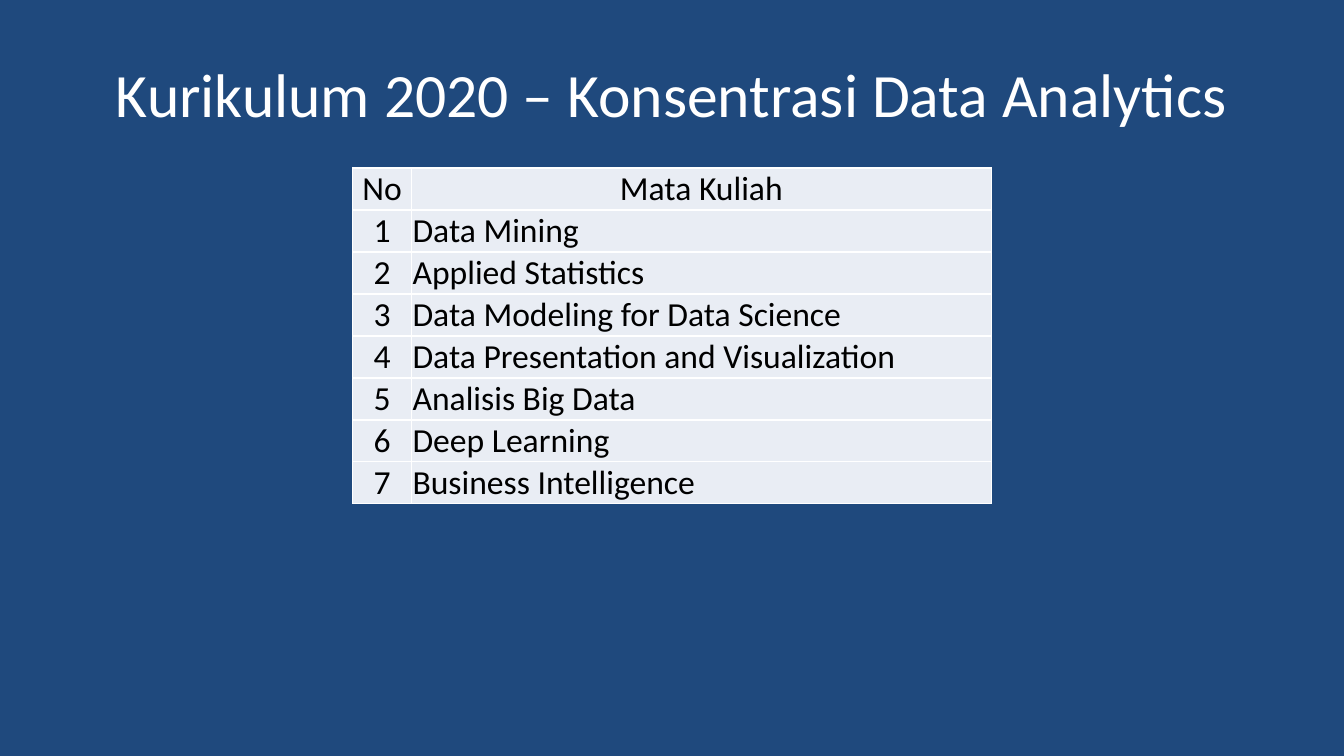
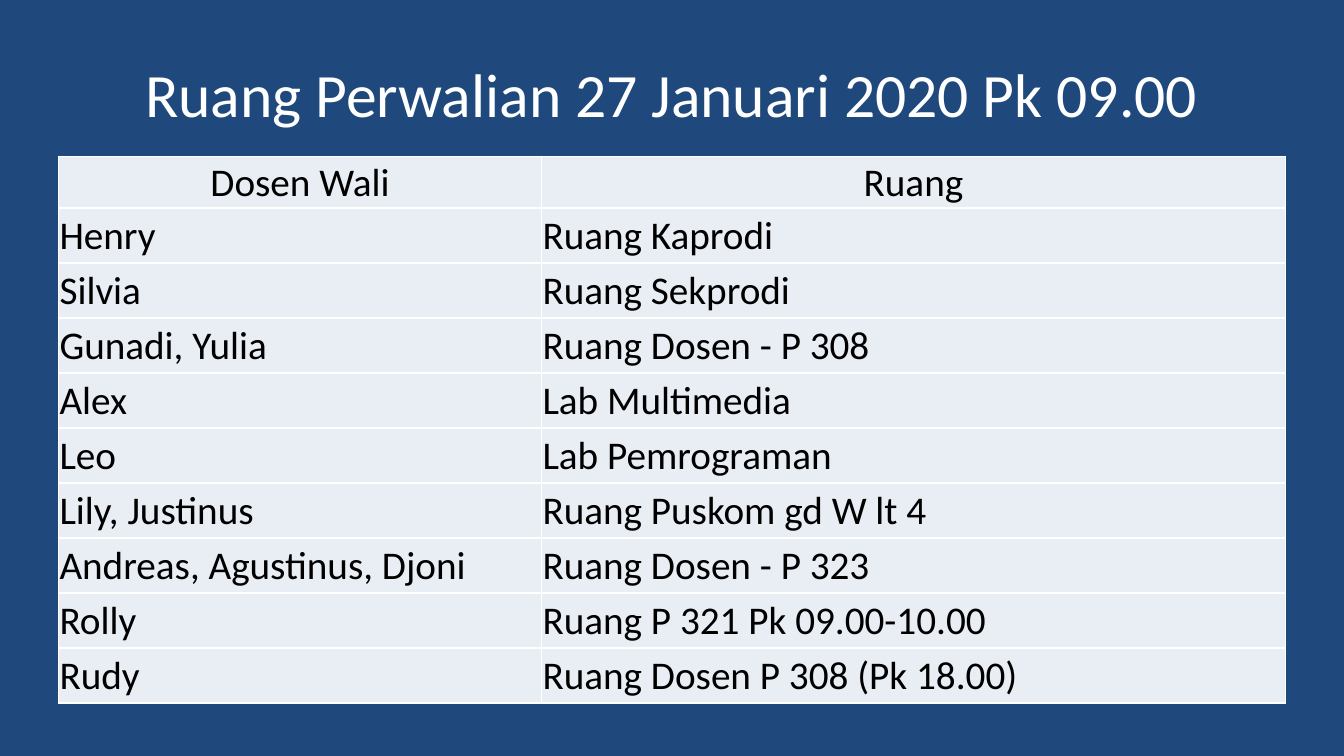
from lxml import etree
from pptx import Presentation
from pptx.dml.color import RGBColor
from pptx.enum import text
from pptx.oxml import ns
from pptx.util import Pt

NAVY = RGBColor(0x1F, 0x49, 0x7D)
PALE = RGBColor(0xE9, 0xED, 0xF4)
WHITE = RGBColor(0xFF, 0xFF, 0xFF)
BLACK = RGBColor(0x00, 0x00, 0x00)
FONT = "Calibri"
CENTER, LEFT = text.PP_ALIGN.CENTER, text.PP_ALIGN.LEFT
MIDDLE = text.MSO_ANCHOR.MIDDLE

COURSES = [
    "Data Mining",
    "Applied Statistics",
    "Data Modeling for Data Science",
    "Data Presentation and Visualization",
    "Analisis Big Data",
    "Deep Learning",
    "Business Intelligence",
]
ROOMS = [
    ("Henry", "Ruang Kaprodi"),
    ("Silvia", "Ruang Sekprodi"),
    ("Gunadi, Yulia", "Ruang Dosen - P 308"),
    ("Alex", "Lab Multimedia"),
    ("Leo", "Lab Pemrograman"),
    ("Lily, Justinus", "Ruang Puskom gd W lt 4"),
    ("Andreas, Agustinus, Djoni", "Ruang Dosen - P 323"),
    ("Rolly", "Ruang P 321 Pk 09.00-10.00"),
    ("Rudy", "Ruang Dosen P 308 (Pk 18.00)"),
]


def write(tf, words, size, color, align):
    """Put one formatted run into the first paragraph of a text frame."""
    p = tf.paragraphs[0]
    p.alignment = align
    r = p.add_run()
    r.text = words
    r.font.name = FONT
    r.font.size = Pt(size)
    r.font.color.rgb = color


def add_titled_slide(prs, title):
    """Add a blank slide with the shared title style."""
    slide = prs.slides.add_slide(prs.slide_layouts[6])
    tf = slide.shapes.add_textbox(Pt(48), Pt(21.6), Pt(864), Pt(90)).text_frame
    tf.word_wrap = True
    tf.vertical_anchor = MIDDLE
    write(tf, title, 44, WHITE, CENTER)
    return slide


def add_borders(cell):
    """Draw a thin white line on all four sides of a cell."""
    tc_pr = cell._tc.get_or_add_tcPr()
    for side in ("lnL", "lnR", "lnT", "lnB"):
        ln = etree.SubElement(tc_pr, ns.qn(f"a:{side}"), w=str(Pt(1)))
        fill = etree.SubElement(ln, ns.qn("a:solidFill"))
        etree.SubElement(fill, ns.qn("a:srgbClr"), val=str(WHITE))


def style_cell(cell, words, size, align):
    """Fill, frame and write one table cell."""
    add_borders(cell)
    cell.fill.solid()
    cell.fill.fore_color.rgb = PALE
    cell.vertical_anchor = MIDDLE
    cell.margin_left = cell.margin_right = cell.margin_top = Pt(0.75)
    cell.margin_bottom = 0
    write(cell.text_frame, words, size, BLACK, align)


def add_grid(slide, left, top, widths, heights, rows, size, aligns):
    """Add a table whose first row is a centred header."""
    table = slide.shapes.add_table(
        len(rows), len(widths), Pt(left), Pt(top), Pt(sum(widths)), Pt(sum(heights))
    ).table
    for column, width in zip(table.columns, widths):
        column.width = Pt(width)
    for i, (height, row) in enumerate(zip(heights, rows)):
        table.rows[i].height = Pt(height)
        for j, words in enumerate(row):
            style_cell(table.cell(i, j), words, size, aligns[j] if i else CENTER)


def main():
    """Build and save the two slides."""
    prs = Presentation()
    prs.slide_width, prs.slide_height = Pt(960), Pt(540)
    background = prs.slide_master.background.fill
    background.solid()
    background.fore_color.rgb = NAVY

    slide = add_titled_slide(prs, "Kurikulum 2020 – Konsentrasi Data Analytics")
    rows = [("No", "Mata Kuliah")]
    rows += [(str(n), course) for n, course in enumerate(COURSES, 1)]
    add_grid(slide, 252, 120, (42, 414), [30] * len(rows), rows, 24, (CENTER, LEFT))

    slide = add_titled_slide(prs, "Ruang Perwalian 27 Januari 2020 Pk 09.00")
    rows = [("Dosen Wali", "Ruang")] + ROOMS
    heights = [37] + [39.3] * len(ROOMS)
    add_grid(slide, 41.8, 111.6, (345, 531.4), heights, rows, 28, (LEFT, LEFT))

    prs.save("out.pptx")


main()
